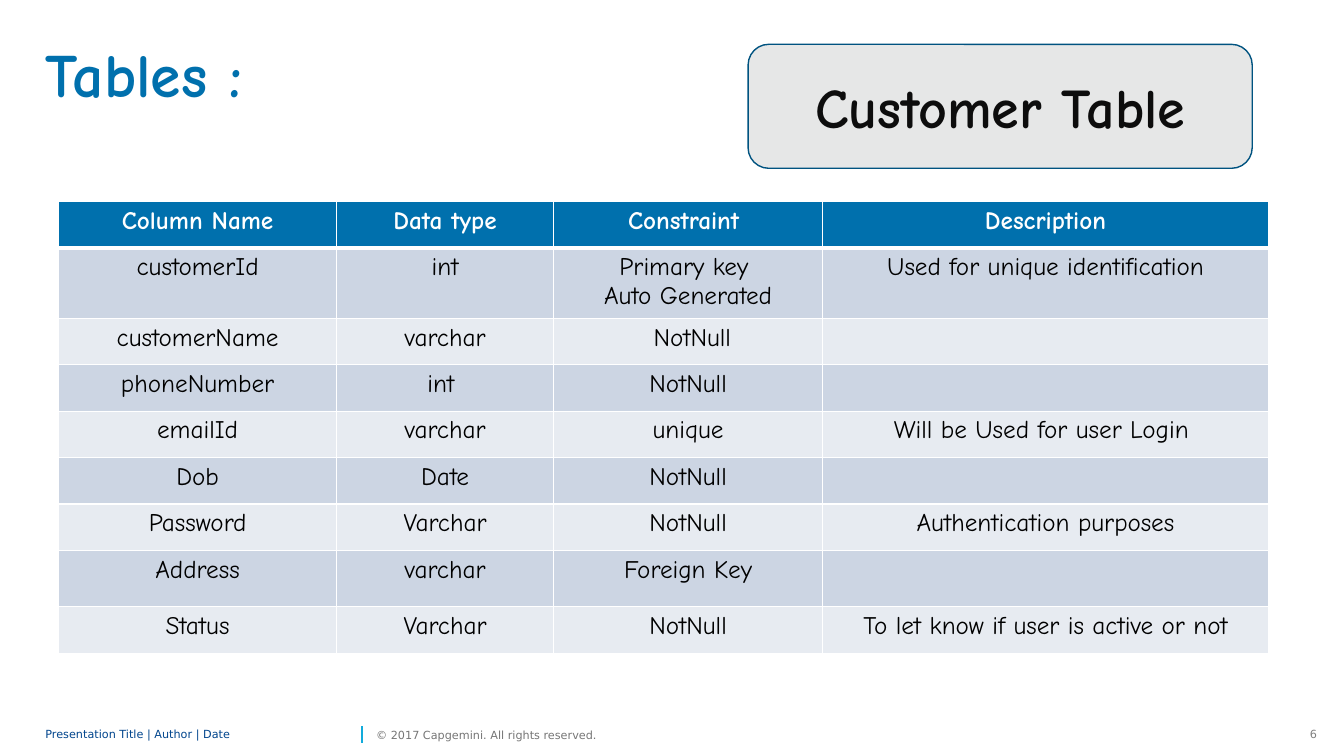
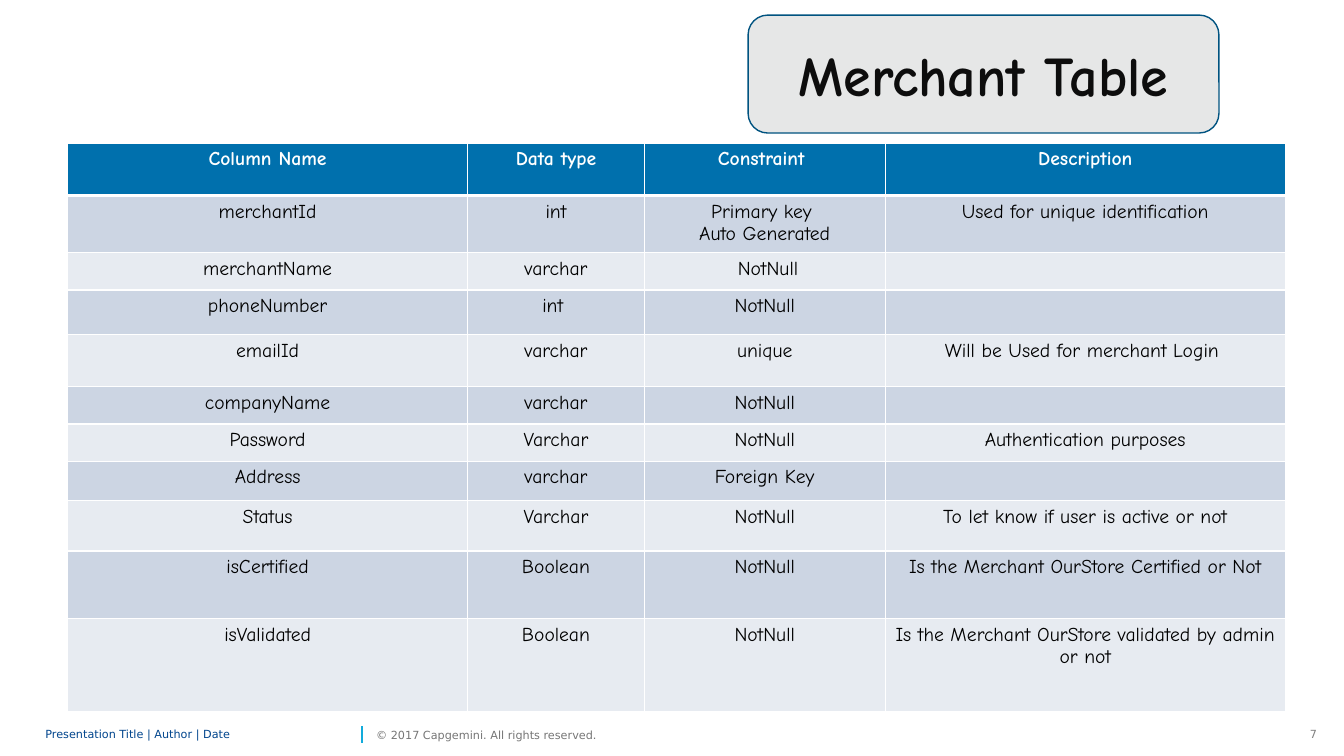
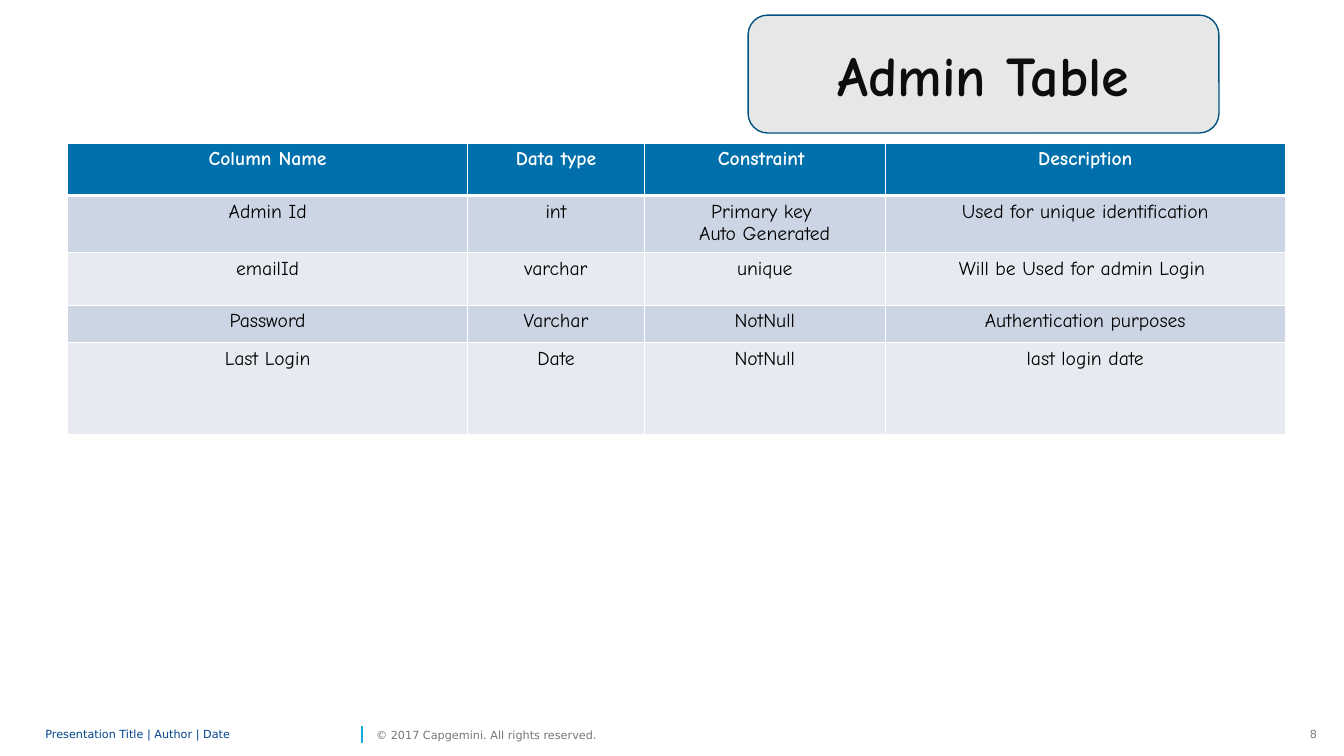
from dataclasses import dataclass

from lxml import etree
from pptx import Presentation
from pptx.dml.color import RGBColor
from pptx.enum.shapes import MSO_CONNECTOR, MSO_SHAPE
from pptx.enum.text import MSO_ANCHOR, MSO_AUTO_SIZE, PP_ALIGN
from pptx.oxml.ns import qn
from pptx.util import Inches, Pt

LEFT, CENTER, RIGHT = PP_ALIGN.LEFT, PP_ALIGN.CENTER, PP_ALIGN.RIGHT
TOP, MIDDLE = MSO_ANCHOR.TOP, MSO_ANCHOR.MIDDLE
TITLE_ONLY, BLANK = 5, 6


@dataclass(frozen=True)
class Theme:
    font: str = "Comic Neue"
    footer_font: str = "DejaVu Sans"
    title_size: int = 44
    callout_size: int = 40
    footer_size: int = 8
    blue: str = "0070AD"
    callout_fill: str = "E6E7E7"
    callout_line: str = "005380"
    callout_text: str = "0D0D0D"
    bands: tuple = ("CCD5E3", "E7EBF1")
    white: str = "FFFFFF"
    black: str = "000000"
    footer_blue: str = "00458D"
    footer_gray: str = "767676"
    number_gray: str = "808080"
    divider: str = "12ABDB"


THEME = Theme()


def write(frame, text, size, color, font=THEME.font, bold=False, align=CENTER):
    """Fill a text frame and format every paragraph, empty ones included."""
    frame.text = text
    for paragraph in frame.paragraphs:
        paragraph.alignment = align
        for run in paragraph.runs:
            run.font.name = font
            run.font.size = Pt(size)
            run.font.bold = bold
            run.font.color.rgb = RGBColor.from_string(color)
        if not paragraph.runs:
            end = etree.SubElement(paragraph._p, qn("a:endParaRPr"), sz=str(size * 100))
            etree.SubElement(end, qn("a:latin"), typeface=font)


def set_borders(cell, top, bottom):
    """Draw white cell borders; top and bottom are widths in points."""
    properties = cell._tc.get_or_add_tcPr()
    for side, width in (("L", 1), ("R", 1), ("T", top), ("B", bottom)):
        line = etree.SubElement(properties, qn(f"a:ln{side}"), w=str(Pt(width)))
        fill = etree.SubElement(line, qn("a:solidFill"))
        etree.SubElement(fill, qn("a:srgbClr"), val=THEME.white)


HEADER = ("Column Name", "Data type", "Constraint ", "Description")
ID_RULE = (" int ", "Primary key \nAuto Generated", "Used for unique identification")
PHONE = ("phoneNumber", "int ", "NotNull", "")
PASSWORD = ("Password", "Varchar", "NotNull", "Authentication purposes")
ADDRESS = ("Address", "varchar", "Foreign Key", "")
STATUS = ("Status", "Varchar", "NotNull", "To let know if user is active or not")

WIDE_COLUMNS = (3.97, 1.75, 2.39, 3.97)
UPPER_CALLOUT = (7.42, 0.15, 4.67, 1.17)

# Each table row is its height followed by its cells.
PAGES = [
    dict(
        number=6, title="Tables :", heading="Customer Table",
        callout=(7.42, 0.44, 5, 1.23), origin=(0.58, 2), size=18,
        columns=(2.76, 2.15, 2.67, 4.42),
        rows=[
            (0.46, *HEADER),
            (0.67, "customerId", *ID_RULE),
            (0.46, "customerName", "varchar", " NotNull", ""),
            (0.46, *PHONE),
            (0.46, "emailId", "varchar", "unique", "Will be Used for user Login "),
            (0.46, "Dob", "Date", "NotNull", ""),
            (0.46, *PASSWORD),
            (0.56, *ADDRESS),
            (0.46, *STATUS),
        ],
    ),
    dict(
        number=7, title=None, heading="Merchant Table",
        callout=UPPER_CALLOUT, origin=(0.67, 1.42), size=14,
        columns=WIDE_COLUMNS,
        rows=[
            (0.52, *HEADER),
            (0.56, "merchantId", *ID_RULE),
            (0.37, "merchantName", "varchar", " NotNull", ""),
            (0.44, *PHONE),
            (0.52, "emailId", "varchar", "unique", "Will be Used for merchant Login "),
            (0.37, "companyName", "varchar", "NotNull", ""),
            (0.37, *PASSWORD),
            (0.39, *ADDRESS),
            (0.5, *STATUS),
            (0.67, "isCertified", "Boolean", "NotNull",
             "Is the Merchant OurStore Certified or Not"),
            (0.92, "isValidated", "Boolean", "NotNull",
             "Is the Merchant OurStore validated by admin or not"),
        ],
    ),
    dict(
        number=8, title=None, heading="Admin Table",
        callout=UPPER_CALLOUT, origin=(0.67, 1.42), size=14,
        columns=WIDE_COLUMNS,
        rows=[
            (0.52, *HEADER),
            (0.56, "Admin Id", *ID_RULE),
            (0.52, "emailId", "varchar", "unique", "Will be Used for admin Login "),
            (0.37, *PASSWORD),
            (0.92, "Last Login", "Date", "NotNull", "last login date"),
        ],
    ),
]

prs = Presentation()
prs.slide_width, prs.slide_height = Inches(13.33), Inches(7.5)

for page in PAGES:
    layout = TITLE_ONLY if page["title"] else BLANK
    slide = prs.slides.add_slide(prs.slide_layouts[layout])
    shapes = slide.shapes

    # Footer: left, width, text, colour, alignment, anchor, inset, wrap, line spacing
    footer_parts = (
        (12.89, 0.27, str(page["number"]), THEME.number_gray, RIGHT, TOP, None, False, 1.0),
        (0.45, 3.09, "Presentation Title | Author | Date", THEME.footer_blue,
         LEFT, MIDDLE, 0, True, 0.85),
        (3.73, 2.43, "© 2017 Capgemini. All rights reserved.", THEME.footer_gray,
         LEFT, MIDDLE, 0, False, 1.0),
    )
    for left, width, text, color, align, anchor, inset, wrap, spacing in footer_parts:
        footer = shapes.add_textbox(Inches(left), Inches(7.17), Inches(width), Inches(0.24))
        frame = footer.text_frame
        frame.word_wrap = wrap
        frame.vertical_anchor = anchor
        if inset is not None:
            frame.margin_left = frame.margin_right = Inches(inset)
            frame.margin_top = frame.margin_bottom = Inches(inset)
        write(frame, text, THEME.footer_size, color, THEME.footer_font, align=align)
        frame.paragraphs[0].line_spacing = spacing

    divider = shapes.add_connector(
        MSO_CONNECTOR.STRAIGHT, Inches(3.59), Inches(7.37), Inches(3.59), Inches(7.2))
    divider.line.color.rgb = RGBColor.from_string(THEME.divider)
    divider.line.width = Pt(1)
    etree.SubElement(divider._element.spPr, qn("a:effectLst"))

    if page["title"]:
        title = shapes.title
        title.left, title.top = Inches(0.45), Inches(0.44)
        title.width, title.height = Inches(12.3), Inches(1.23)
        frame = title.text_frame
        frame.margin_left = frame.margin_right = 0
        frame.margin_top = frame.margin_bottom = 0
        frame.vertical_anchor = TOP
        frame.auto_size = MSO_AUTO_SIZE.NONE
        write(frame, page["title"], THEME.title_size, THEME.blue, bold=True, align=LEFT)
        frame.paragraphs[0].line_spacing = 0.9

    callout = shapes.add_shape(
        MSO_SHAPE.ROUNDED_RECTANGLE, *[Inches(value) for value in page["callout"]])
    callout.shadow.inherit = False
    callout.fill.solid()
    callout.fill.fore_color.rgb = RGBColor.from_string(THEME.callout_fill)
    callout.line.color.rgb = RGBColor.from_string(THEME.callout_line)
    callout.line.width = Pt(1)
    callout.text_frame.vertical_anchor = MIDDLE
    write(callout.text_frame, page["heading"], THEME.callout_size,
          THEME.callout_text, bold=True)

    rows, columns = page["rows"], page["columns"]
    left, top = page["origin"]
    table = shapes.add_table(
        len(rows), len(columns), Inches(left), Inches(top),
        Inches(sum(columns)), Inches(sum(row[0] for row in rows))).table
    table.horz_banding = False
    for column, width in zip(table.columns, columns):
        column.width = Inches(width)
    for r, (height, *texts) in enumerate(rows):
        table.rows[r].height = Inches(height)
        is_header = r == 0
        fill = THEME.blue if is_header else THEME.bands[(r - 1) % 2]
        color = THEME.white if is_header else THEME.black
        for c, text in enumerate(texts):
            cell = table.cell(r, c)
            set_borders(cell, top=3 if r == 1 else 1, bottom=3 if is_header else 1)
            cell.fill.solid()
            cell.fill.fore_color.rgb = RGBColor.from_string(fill)
            write(cell.text_frame, text, page["size"], color, bold=is_header)

prs.save("out.pptx")
